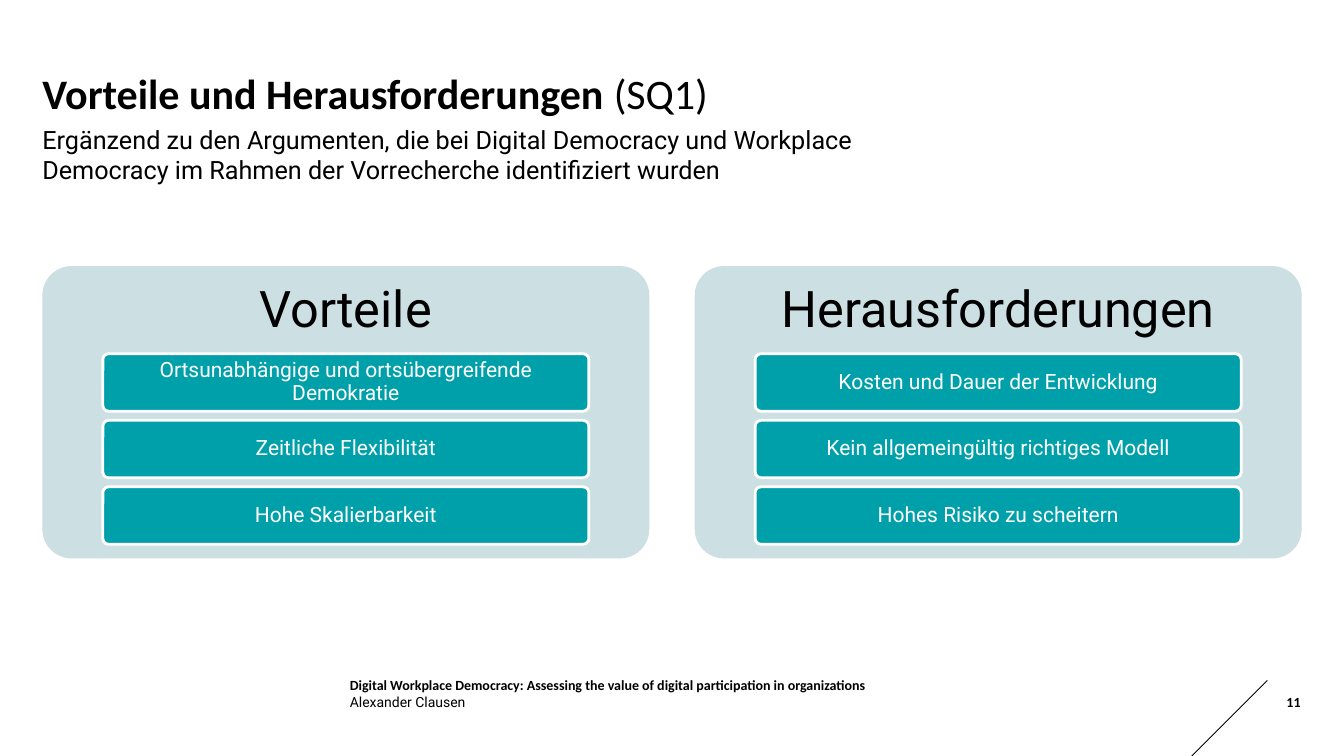
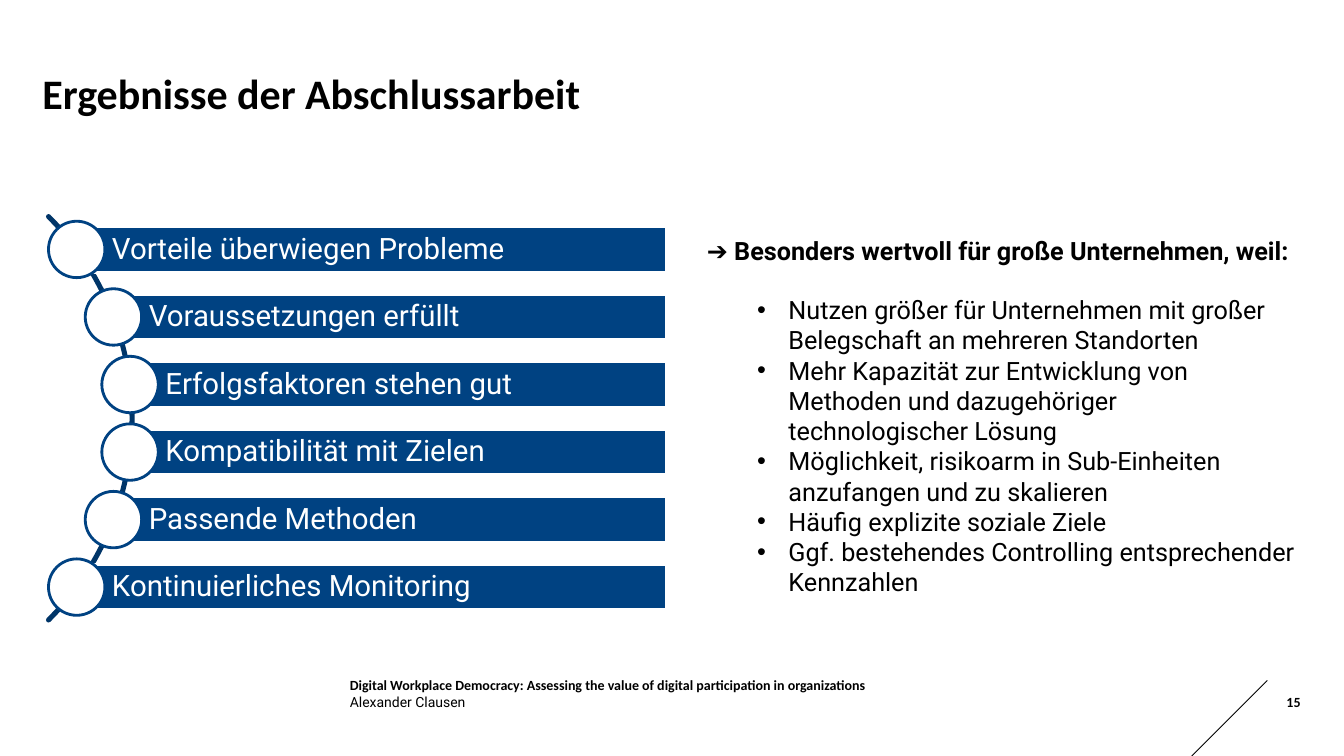
"""Build two slides on the benefits and results of digital workplace democracy."""
import math
from dataclasses import dataclass

import lxml.etree
import pptx
import pptx.dml.color
import pptx.enum.shapes
import pptx.enum.text
import pptx.oxml.ns
import pptx.presentation
import pptx.shapes.autoshape
import pptx.slide
import pptx.text.text
import pptx.util

Inches = pptx.util.Inches
Pt = pptx.util.Pt
RGBColor = pptx.dml.color.RGBColor
Align = pptx.enum.text.PP_ALIGN
Anchor = pptx.enum.text.MSO_ANCHOR
Kind = pptx.enum.shapes.MSO_SHAPE
qn = pptx.oxml.ns.qn

BLACK = RGBColor(0x00, 0x00, 0x00)
WHITE = RGBColor(0xFF, 0xFF, 0xFF)
MIST = RGBColor(0xCC, 0xDF, 0xE2)
TEAL = RGBColor(0x00, 0xA0, 0xAA)
BLUE = RGBColor(0x00, 0x42, 0x82)
NAVY = RGBColor(0x00, 0x35, 0x68)

HEAD = "Calibri"
BODY = "Roboto"
LEFT = 0.42
TOPIC = "Digital Workplace Democracy: Assessing the value of digital participation in organizations"
AUTHOR = "Alexander Clausen"


@dataclass(frozen=True)
class Box:
    left: float
    top: float
    width: float
    height: float

    def place(self) -> tuple[pptx.util.Length, ...]:
        return tuple(Inches(n) for n in (self.left, self.top, self.width, self.height))


@dataclass(frozen=True)
class Style:
    size: float
    font: str = BODY
    color: RGBColor = BLACK
    bold: bool = False


@dataclass(frozen=True)
class Card:
    title: str
    items: tuple[str, ...]


TITLE = Style(30, HEAD, bold=True)
PLAIN = Style(30, HEAD)
TEXT = Style(18)
STRONG = Style(18, bold=True)
SMALL = Style(10)
NOTE = Style(10, HEAD, bold=True)

CARDS = (
    Card("Vorteile", (
        "Ortsunabhängige und ortsübergreifende Demokratie",
        "Zeitliche Flexibilität",
        "Hohe Skalierbarkeit",
    )),
    Card("Herausforderungen", (
        "Kosten und Dauer der Entwicklung",
        "Kein allgemeingültig richtiges Modell",
        "Hohes Risiko zu scheitern",
    )),
)
RESULTS = (
    "Vorteile überwiegen Probleme",
    "Voraussetzungen erfüllt",
    "Erfolgsfaktoren stehen gut",
    "Kompatibilität mit Zielen",
    "Passende Methoden",
    "Kontinuierliches Monitoring",
)
REASONS = (
    "Nutzen größer für Unternehmen mit großer Belegschaft an mehreren Standorten",
    "Mehr Kapazität zur Entwicklung von Methoden und dazugehöriger technologischer Lösung",
    "Möglichkeit, risikoarm in Sub-Einheiten anzufangen und zu skalieren",
    "Häufig explizite soziale Ziele",
    "Ggf. bestehendes Controlling entsprechender Kennzahlen",
)


def write(line: pptx.text.text._Paragraph, text: str, style: Style) -> None:
    run = line.add_run()
    run.text = text
    run.font.size = Pt(style.size)
    run.font.name = style.font
    run.font.bold = style.bold
    run.font.color.rgb = style.color


def setup(frame: pptx.text.text.TextFrame, anchor: Anchor,
          pad: tuple[float, float, float, float] = (0, 0, 0, 0)) -> None:
    frame.word_wrap = True
    frame.auto_size = pptx.enum.text.MSO_AUTO_SIZE.NONE
    frame.vertical_anchor = anchor
    (frame.margin_left, frame.margin_top,
     frame.margin_right, frame.margin_bottom) = (Inches(n) for n in pad)


def add_text(slide: pptx.slide.Slide, box: Box, text: str, style: Style,
             anchor: Anchor = Anchor.TOP,
             align: Align = Align.LEFT) -> pptx.text.text.TextFrame:
    frame = slide.shapes.add_textbox(*box.place()).text_frame
    setup(frame, anchor)
    line = frame.paragraphs[0]
    line.alignment = align
    write(line, text, style)
    return frame


def add_form(slide: pptx.slide.Slide, kind: Kind, box: Box, fill: RGBColor,
             edge: RGBColor | None = None) -> pptx.shapes.autoshape.Shape:
    shape = slide.shapes.add_shape(kind, *box.place())
    shape.shadow.inherit = False
    shape.fill.solid()
    shape.fill.fore_color.rgb = fill
    if edge is None:
        shape.line.fill.background()
    else:
        shape.line.color.rgb = edge
        shape.line.width = Pt(2)
    if kind == Kind.ROUNDED_RECTANGLE:
        shape.adjustments[0] = 0.1
    return shape


def label(shape: pptx.shapes.autoshape.Shape, text: str, style: Style,
          anchor: Anchor, align: Align, pad: tuple[float, float, float, float]) -> None:
    setup(shape.text_frame, anchor, pad)
    line = shape.text_frame.paragraphs[0]
    line.alignment = align
    line.line_spacing = 0.9
    write(line, text, style)


def add_slide(deck: pptx.presentation.Presentation, number: int,
              title: str, tail: str = "") -> pptx.slide.Slide:
    slide = deck.slides.add_slide(deck.slide_layouts[5])
    head = slide.shapes.title
    head.left, head.top, head.width, head.height = Box(LEFT, 0.67, 12.5, 0.5).place()
    setup(head.text_frame, Anchor.TOP)
    line = head.text_frame.paragraphs[0]
    line.alignment = Align.LEFT
    write(line, title, TITLE)
    if tail:
        write(line, tail, PLAIN)

    slash = slide.shapes.add_connector(
        pptx.enum.shapes.MSO_CONNECTOR.STRAIGHT,
        Inches(11.82), Inches(7.5), Inches(12.57), Inches(6.75))
    slash.line.color.rgb = BLACK
    slash.line.width = Pt(0.6)
    lxml.etree.SubElement(slash._element.spPr, qn("a:effectLst"))

    add_text(slide, Box(3.47, 6.71, 6.36, 0.17), TOPIC, NOTE, Anchor.MIDDLE)
    add_text(slide, Box(3.47, 6.88, 6.36, 0.17), AUTHOR, SMALL, Anchor.MIDDLE)
    add_text(slide, Box(12.34, 6.88, 0.56, 0.17), str(number), NOTE,
             Anchor.MIDDLE, Align.RIGHT)
    return slide


def add_card(slide: pptx.slide.Slide, left: float, card: Card) -> None:
    panel = add_form(slide, Kind.ROUNDED_RECTANGLE, Box(left, 2.64, 6.02, 2.9), MIST)
    label(panel, card.title, Style(36), Anchor.TOP, Align.CENTER, (0.15, 0.09, 0.15, 0))
    for row, item in enumerate(card.items):
        box = Box(left + 0.6, 3.51 + 0.66 * row, 4.82, 0.57)
        pill = add_form(slide, Kind.ROUNDED_RECTANGLE, box, TEAL, WHITE)
        label(pill, item, Style(15, color=WHITE), Anchor.MIDDLE, Align.CENTER,
              (0.04, 0.03, 0.04, 0.03))


def add_curve(slide: pptx.slide.Slide, hub: tuple[float, float], radius: float) -> None:
    points = [
        (Inches(hub[0] + radius * math.cos(math.radians(angle))),
         Inches(hub[1] + radius * math.sin(math.radians(angle))))
        for angle in range(-45, 46)
    ]
    pen = slide.shapes.build_freeform(*points[0])
    pen.add_line_segments(points[1:], close=False)
    curve = pen.convert_to_shape()
    curve.shadow.inherit = False
    curve.fill.background()
    curve.line.color.rgb = NAVY
    curve.line.width = Pt(3.6)
    curve.line._get_or_add_ln().set("cap", "rnd")


def add_results(slide: pptx.slide.Slide) -> None:
    hub, radius = (-1.52, 4.15), 2.83
    pitch, right, tall, disc = 0.67, 6.61, 0.45, 0.56
    add_curve(slide, hub, radius)
    for row, item in enumerate(RESULTS):
        drop = (row - (len(RESULTS) - 1) / 2) * pitch
        left = hub[0] + math.sqrt(radius ** 2 - drop ** 2)
        mid = hub[1] + drop
        bar = add_form(slide, Kind.RECTANGLE,
                       Box(left, mid - tall / 2, right - left, tall), BLUE, WHITE)
        label(bar, item, Style(21, color=WHITE), Anchor.MIDDLE, Align.LEFT,
              (0.35, 0.06, 0.06, 0.06))
        add_form(slide, Kind.OVAL,
                 Box(left - disc / 2, mid - disc / 2, disc, disc), WHITE, BLUE)


def add_reasons(slide: pptx.slide.Slide) -> None:
    frame = add_text(slide, Box(7.01, 2.33, 5.91, 3.23),
                     "➔ Besonders wertvoll für große Unternehmen, weil:", STRONG)
    for row, reason in enumerate(REASONS):
        line = frame.add_paragraph()
        props = line._p.get_or_add_pPr()
        props.set("marL", str(Inches(0.81)))
        props.set("indent", str(Inches(-0.31)))
        lxml.etree.SubElement(props, qn("a:buFont")).set("typeface", "Arial")
        lxml.etree.SubElement(props, qn("a:buChar")).set("char", "•")
        line.level = 1
        if row == 0:
            line.space_before = Pt(21)
        write(line, reason, TEXT)


def main() -> None:
    deck = pptx.Presentation()
    deck.slide_width, deck.slide_height = Inches(13.33), Inches(7.5)

    slide = add_slide(deck, 11, "Vorteile und Herausforderungen ", "(SQ1)")
    add_text(slide, Box(LEFT, 1.23, 9.26, 0.61),
             "Ergänzend zu den Argumenten, die bei Digital Democracy und Workplace "
             "Democracy im Rahmen der Vorrecherche identifiziert wurden", TEXT)
    for index, card in enumerate(CARDS):
        add_card(slide, LEFT + 6.47 * index, card)

    slide = add_slide(deck, 15, "Ergebnisse der Abschlussarbeit")
    add_results(slide)
    add_reasons(slide)
    deck.save("out.pptx")


if __name__ == "__main__":
    main()
